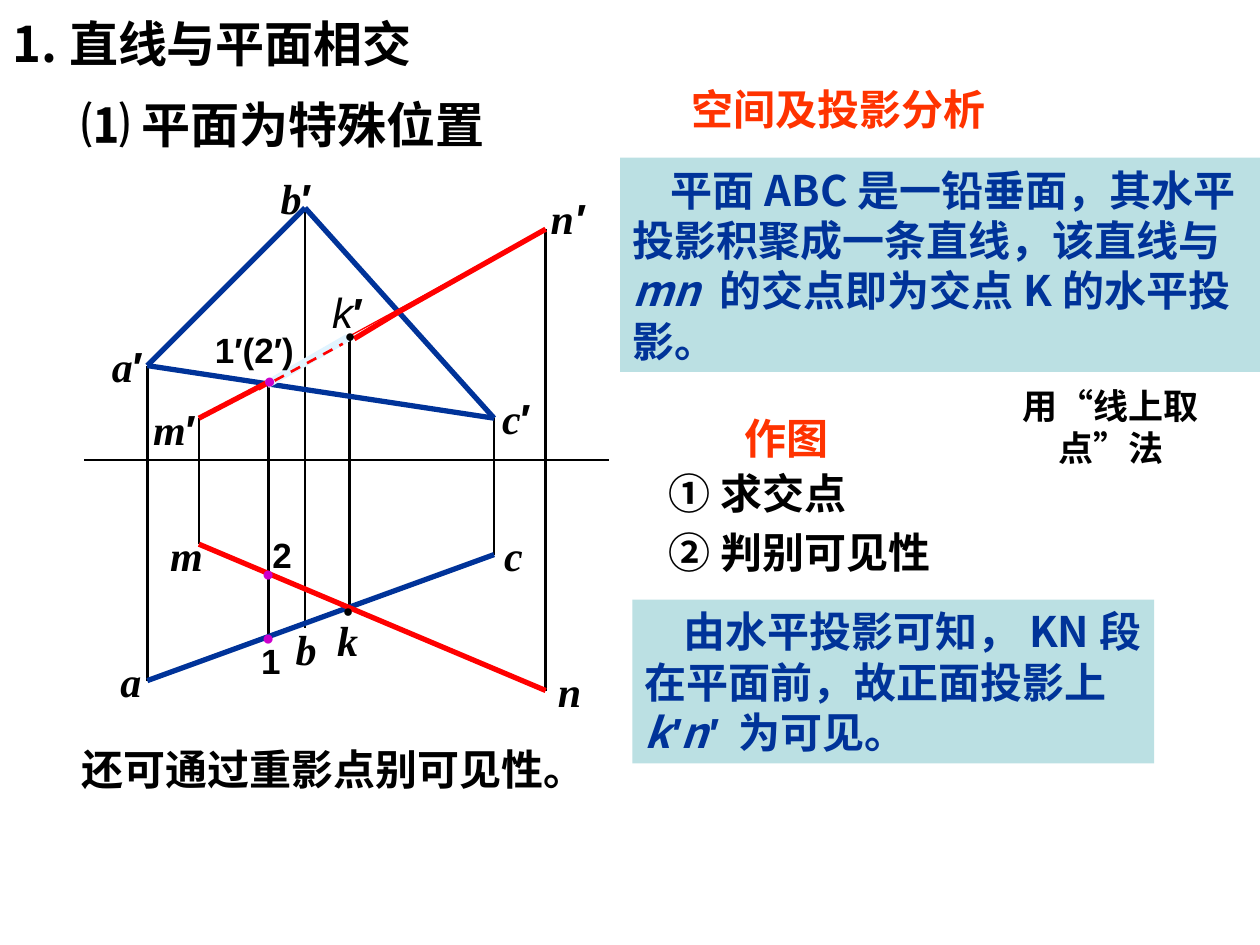
from pptx import Presentation
from pptx import util as u
from pptx.dml import color as col
from pptx.enum import dml, shapes, text
from pptx.oxml import ns
from lxml import etree

HAN, SANS, ROMAN = "Noto Sans CJK SC", "Arial", "Times New Roman"
BLACK, BLUE, RED, ORANGE = "000000", "003399", "FF0000", "FF3300"
TEAL, PALE, PINK = "BBE0E3", "E1F4FF", "CC00CC"
LEFT, MID = text.PP_ALIGN.LEFT, text.PP_ALIGN.CENTER


def paint(code):
    return col.RGBColor.from_string(code)


class Board:
    def __init__(self, slide):
        self.slide = slide

    def place(self, shape, box):
        shape.left, shape.top, shape.width, shape.height = map(u.Cm, box)

    def letter(self, shape, paras, size, hue, align=LEFT, wrap=True, indent=0, gap=0):
        frame = shape.text_frame
        frame.word_wrap = wrap
        frame.auto_size = text.MSO_AUTO_SIZE.NONE
        frame.vertical_anchor = text.MSO_ANCHOR.MIDDLE
        for i, runs in enumerate(paras):
            para = frame.add_paragraph() if i else frame.paragraphs[0]
            para.alignment = align
            para.space_before = u.Pt(gap if i else 0)
            props = para._p.get_or_add_pPr()
            props.set("marL", "0")
            props.set("indent", str(u.Cm(indent)))
            etree.SubElement(props, ns.qn("a:buNone"))
            for words, face, look in runs:
                run = para.add_run()
                run.text = words
                font = run.font
                font.name, font.size = face, u.Pt(size)
                font.bold, font.italic = "b" in look, "i" in look
                font.color.rgb = paint(hue)
                east = etree.SubElement(run._r.get_or_add_rPr(), ns.qn("a:ea"))
                east.set("typeface", face)

    def holder(self, shape, box, lines, size, gap=0):
        self.place(shape, box)
        self.letter(shape, [[(line, HAN, "b")] for line in lines], size, BLACK, gap=gap)

    def note(self, box, words, size=24, hue=BLACK, align=LEFT):
        shape = self.slide.shapes.add_textbox(*map(u.Cm, box))
        self.letter(shape, [[(words, HAN, "b")]], size, hue, align)

    def panel(self, box, runs):
        kind = shapes.MSO_SHAPE.RECTANGLE
        shape = self.slide.shapes.add_shape(kind, *map(u.Cm, box))
        shape.shadow.inherit = False
        shape.fill.solid()
        shape.fill.fore_color.rgb = paint(TEAL)
        shape.line.fill.background()
        self.letter(shape, [runs], 24, BLUE, indent=0.77)

    def label(self, spot, runs, size=24, hue=BLACK):
        x, y = spot
        wide, high = 1.2, 1.2
        box = (x - wide / 2, y - high / 2, wide, high)
        shape = self.slide.shapes.add_textbox(*map(u.Cm, box))
        self.letter(shape, [runs], size, hue, MID, wrap=False)

    def line(self, start, end, hue=BLACK, width=1.5, dash=False):
        ends = map(u.Cm, start + end)
        link = self.slide.shapes.add_connector(shapes.MSO_CONNECTOR.STRAIGHT, *ends)
        link.line.color.rgb = paint(hue)
        link.line.width = u.Pt(width)
        if dash:
            link.line.dash_style = dml.MSO_LINE.DASH
        etree.SubElement(link._element.spPr, ns.qn("a:effectLst"))


def draw(board):
    a, b, c = (2.97, 13.72), (6.15, 12.65), (9.96, 11.18)
    a2, b2, c2 = (2.97, 7.37), (6.15, 4.19), (9.96, 8.43)
    m, n, m2, n2 = (4.01, 10.97), (11, 13.92), (4.01, 8.43), (11, 4.62)
    k, k2, one, one2 = (7.04, 12.32), (7.04, 6.76), (5.41, 12.93), (5.41, 7.7)
    turn = (8.05, 6.28)

    for low, high in ((k, k2), (one, one2), (a, a2), (b, b2), (c, c2), (m, m2), (n, n2)):
        board.line(low, high)
    board.line((1.7, 9.27), (12.27, 9.27))
    for start, end in ((a2, c2), (a2, b2), (b2, c2), (a, c)):
        board.line(start, end, BLUE, 3)
    board.line(m2, n2, RED, 0.75)
    for start, end in ((m, n), (turn, n2), (m2, one2)):
        board.line(start, end, RED, 3)
    board.line((5.38, 7.75), (7.01, 6.81), PALE, 4.5)
    board.line((5.21, 7.85), (6.91, 6.93), RED, dash=True)
    board.line((7.14, 6.83), turn, RED, 3)

    names = (
        ("a", 2.64, 13.72), ("b", 6.17, 13.08), ("c", 10.35, 11.18),
        ("m", 3.76, 11.18), ("n", 11.48, 13.92), ("k", 7.01, 12.9),
    )
    for name, x, y in names:
        board.label((x, y), [(name, ROMAN, "bi")])
    primes = (
        ("a", 2.57, 7.37, ROMAN, "bi", "b"), ("b", 5.97, 3.99, ROMAN, "bi", "b"),
        ("c", 10.41, 8.43, ROMAN, "bi", "b"), ("m", 3.52, 8.64, ROMAN, "bi", "b"),
        ("n", 11.44, 4.39, ROMAN, "bi", "bi"), ("k", 7.01, 6.28, SANS, "i", "b"),
    )
    for name, x, y, face, look, mark in primes:
        board.label((x, y), [(name, face, look), ("′", SANS, mark)])
    for name, x, y in (("1′(2′)", 5.13, 7.04), ("2", 5.69, 11.18), ("1", 5.46, 13.31)):
        board.label((x, y), [(name, SANS, "b")], 20)
    for spot in ((7.06, 6.77), (7.02, 12.31)):
        board.label(spot, [("●", ROMAN, "b")], 10)
    for x, y, face in ((5.41, 11.56, SANS), (5.41, 12.85, SANS), (5.44, 7.67, ROMAN)):
        board.label((x, y), [("●", face, "")], 12, PINK)


def main():
    deck = Presentation()
    deck.slide_width, deck.slide_height = u.Cm(25.4), u.Cm(19.05)
    slide = deck.slides.add_slide(deck.slide_layouts[1])
    board = Board(slide)
    title, body = slide.placeholders
    board.holder(title, (0, 0.13, 11.63, 1.45), ["1.直线与平面相交"], 28)
    board.holder(body, (13.23, 9.3, 7.67, 2.46), ["① 求交点", "② 判别可见性"], 24, 5)

    board.note((1.4, 1.78, 9.5, 1.45), "⑴ 平面为特殊位置", 28)
    board.note((13.69, 1.55, 8.2, 1.27), "空间及投影分析", hue=ORANGE)
    board.note((14.3, 8.18, 3.12, 1.27), "作图", hue=ORANGE, align=MID)
    board.note((1.4, 14.86, 14.58, 1.27), "还可通过重影点别可见性。")
    board.note((20.09, 7.62, 4.6, 1.96), "用“线上取点”法", 20, align=MID)
    board.panel((12.5, 3.18, 12.9, 4.32), [
        ("平面ABC是一铅垂面，其水平投影积聚成一条直线，该直线与", HAN, "b"),
        ("mn ", HAN, "bi"),
        ("的交点即为交点K的水平投影。", HAN, "b"),
    ])
    board.panel((12.75, 12.09, 10.52, 3.3), [
        ("由水平投影可知，KN段在平面前，故正面投影上 ", HAN, "b"),
        ("k", HAN, "bi"),
        ("′", SANS, "bi"),
        ("n", HAN, "bi"),
        ("′ ", SANS, "bi"),
        ("为可见。", HAN, "b"),
    ])
    draw(board)
    deck.save("out.pptx")


if __name__ == "__main__":
    main()
